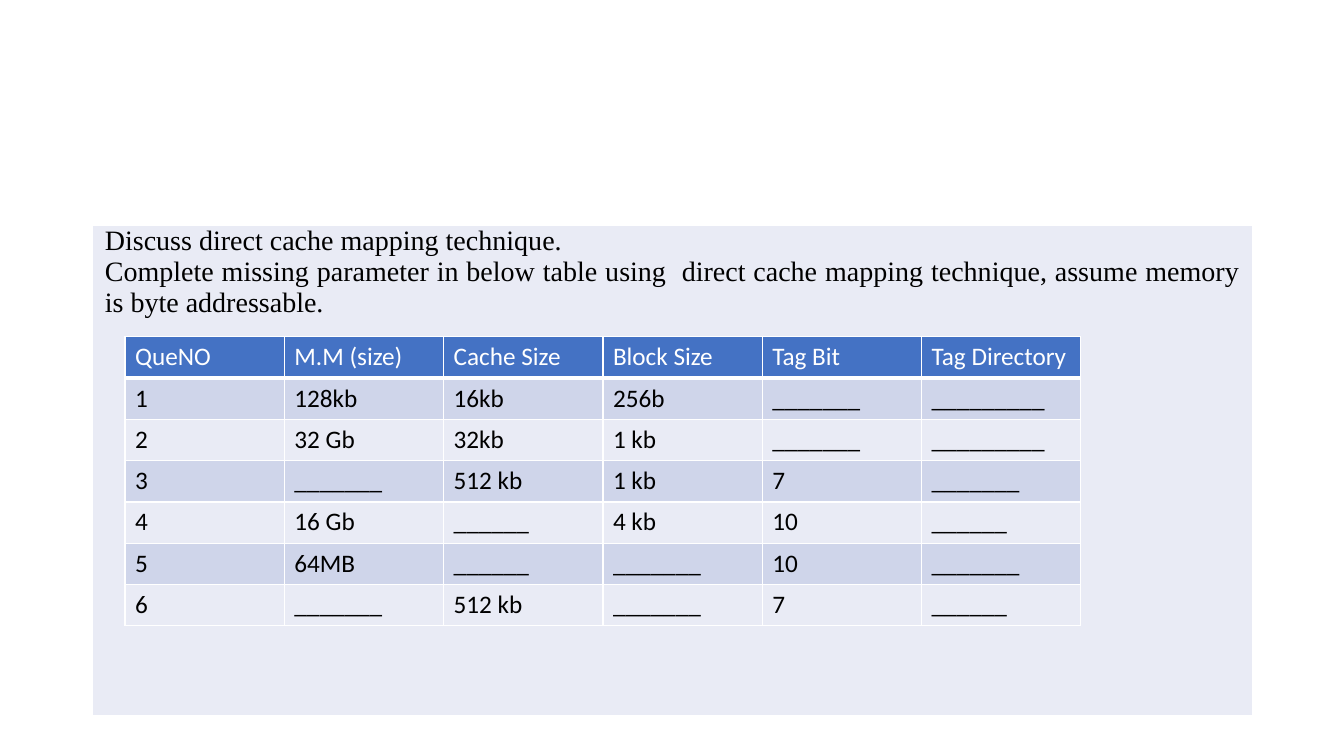
from dataclasses import dataclass

from lxml import etree
from pptx import Presentation
from pptx.dml.color import RGBColor
from pptx.enum import text
from pptx.oxml import ns
from pptx.util import Inches, Pt


@dataclass(frozen=True)
class Theme:
    header: str = "4472C4"
    band: str = "CFD5EA"
    light: str = "E9EBF5"
    white: str = "FFFFFF"
    black: str = "000000"
    question_font: str = "Times New Roman"
    table_font: str = "Calibri"
    question_size: int = 20
    table_size: int = 18


@dataclass(frozen=True)
class CellStyle:
    fill: str
    color: str
    font: str
    size: int
    bottom_line: float = 1


@dataclass(frozen=True)
class Grid:
    left: float
    top: float
    col_width: float
    row_height: float


THEME = Theme()
QUESTION = (
    "Discuss direct cache mapping technique.\n"
    "Complete missing parameter in below table using  direct cache mapping "
    "technique, assume memory is byte addressable."
)
PARAMETERS = [
    ["QueNO", "M.M (size)", "Cache Size", "Block Size", "Tag Bit", "Tag Directory"],
    ["1", "128kb", "16kb", "256b", "_______", "_________"],
    ["2", "32 Gb", "32kb", "1 kb", "_______", "_________"],
    ["3", "_______", "512 kb", "1 kb", "7", "_______"],
    ["4", "16 Gb", "______", "4 kb", "10", "______"],
    ["5", "64MB", "______", "_______", "10", "_______"],
    ["6", "_______", "512 kb", "_______", "7", "______"],
]


def add_borders(cell, bottom_line: float) -> None:
    tc_pr = cell._tc.get_or_add_tcPr()
    for side, width in (("L", 1), ("R", 1), ("T", 1), ("B", bottom_line)):
        ln = etree.SubElement(tc_pr, ns.qn(f"a:ln{side}"), w=str(Pt(width)))
        fill = etree.SubElement(ln, ns.qn("a:solidFill"))
        etree.SubElement(fill, ns.qn("a:srgbClr"), val=THEME.white)


def write_cell(cell, content: str, style: CellStyle) -> None:
    add_borders(cell, style.bottom_line)
    cell.fill.solid()
    cell.fill.fore_color.rgb = RGBColor.from_string(style.fill)
    cell.text = content
    for p in cell.text_frame.paragraphs:
        p.font.name = style.font
        p.font.size = Pt(style.size)
        p.font.bold = False
        p.font.color.rgb = RGBColor.from_string(style.color)


def add_grid(s, grid: Grid, rows: list[list[str]], styles: list[CellStyle]):
    n_rows, n_cols = len(rows), len(rows[0])
    table = s.shapes.add_table(
        n_rows, n_cols, Inches(grid.left), Inches(grid.top),
        Inches(grid.col_width * n_cols), Inches(grid.row_height * n_rows),
    ).table
    table.first_row = table.horz_banding = False
    for col in table.columns:
        col.width = Inches(grid.col_width)
    for row, values, style in zip(table.rows, rows, styles):
        row.height = Inches(grid.row_height)
        for cell, value in zip(row.cells, values):
            write_cell(cell, value, style)
    return table


def add_question(s) -> None:
    style = CellStyle(THEME.light, THEME.black, THEME.question_font, THEME.question_size)
    table = add_grid(s, Grid(0.92, 2.24, 11.5, 4.86), [[QUESTION]], [style])
    cell = table.cell(0, 0)
    cell.margin_left = cell.margin_right = Inches(0.12)
    cell.margin_top = cell.margin_bottom = 0
    cell.text_frame.paragraphs[1].alignment = text.PP_ALIGN.JUSTIFY


def add_parameters(s) -> None:
    font, size = THEME.table_font, THEME.table_size
    header = CellStyle(THEME.header, THEME.white, font, size, bottom_line=3)
    bands = [CellStyle(fill, THEME.black, font, size) for fill in (THEME.band, THEME.light)]
    styles = [header] + [bands[i % 2] for i in range(len(PARAMETERS) - 1)]
    table = add_grid(s, Grid(1.24, 3.34, 1.58, 0.41), PARAMETERS, styles)
    table.first_row = True


def main() -> None:
    prs = Presentation()
    prs.slide_width, prs.slide_height = Inches(13.33), Inches(7.5)
    s = prs.slides.add_slide(prs.slide_layouts[6])
    add_question(s)
    add_parameters(s)
    prs.save("out.pptx")


if __name__ == "__main__":
    main()
